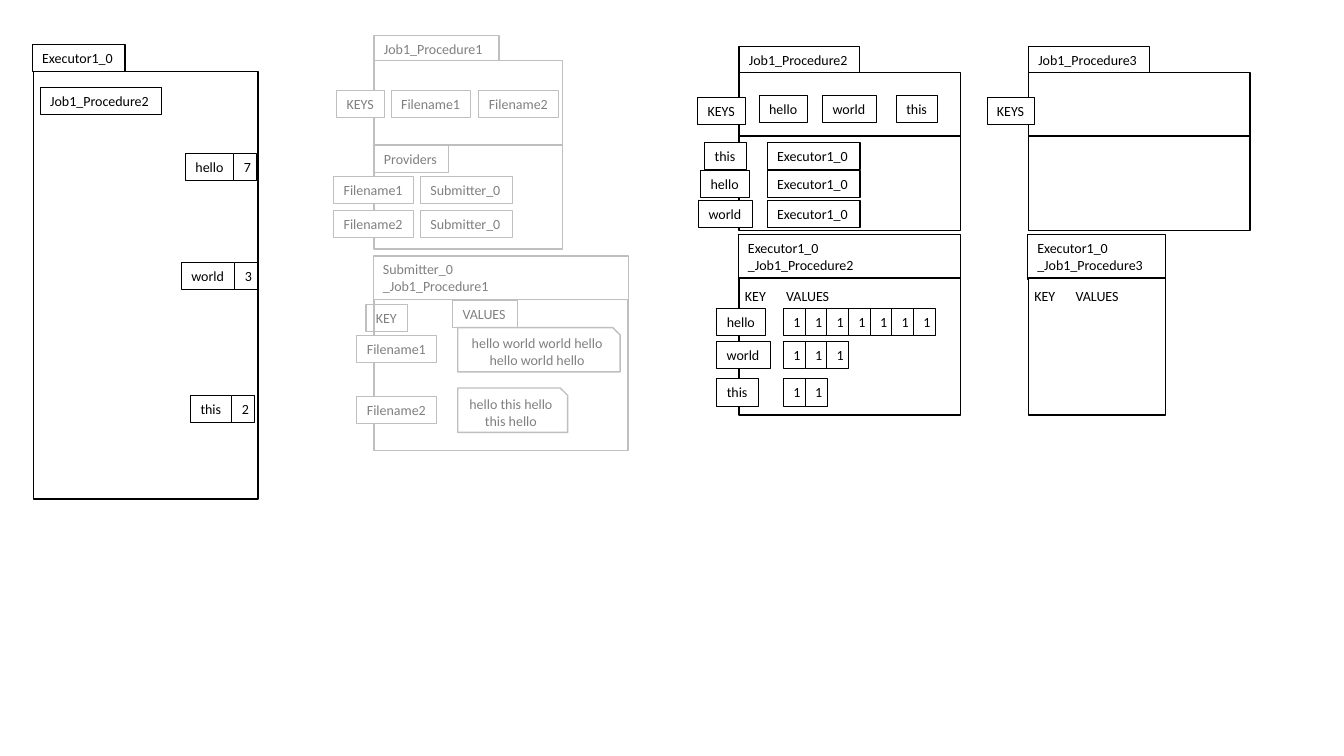
from pptx import Presentation
from pptx.dml.color import RGBColor
from pptx.enum.shapes import MSO_SHAPE
from pptx.enum.text import MSO_ANCHOR, MSO_AUTO_SIZE, PP_ALIGN
from pptx.util import Inches, Pt

RECTANGLE = MSO_SHAPE.RECTANGLE
SNIPPED = MSO_SHAPE.SNIP_1_RECTANGLE
TOP, MIDDLE = MSO_ANCHOR.TOP, MSO_ANCHOR.MIDDLE
LEFT, CENTER = PP_ALIGN.LEFT, PP_ALIGN.CENTER
GROW, FIXED = MSO_AUTO_SIZE.SHAPE_TO_FIT_TEXT, MSO_AUTO_SIZE.NONE

COLORS = {"white": "FFFFFF", "black": "000000", "line_gray": "BFBFBF", "text_gray": "808080"}
ACTIVE = ("black", "black")
FADED = ("line_gray", "text_gray")

LABEL_HEIGHT = 0.27
HEADER_HEIGHT = 0.44
COUNT_WIDTH = 0.22
COUNT_STEP = 0.215
WIDTHS = {
    "hello": 0.48, "world": 0.53, "this": 0.41, "KEY": 0.41, "KEYS": 0.47,
    "VALUES": 0.64, "Providers": 0.74, "Filename1": 0.79, "Filename2": 0.79,
    "Executor1_0": 0.92, "Submitter_0": 0.91, "Job1_Procedure1": 1.24,
    "Job1_Procedure2": 1.2, "Job1_Procedure3": 1.2,
}


def color(name):
    """Return the named palette colour."""
    return RGBColor.from_string(COLORS[name])


def write(box, text, ink, align=LEFT, anchor=TOP, wrap=True, size_mode=GROW):
    """Put formatted text into a box."""
    frame = box.text_frame
    frame.text = text
    frame.word_wrap = wrap
    frame.auto_size = size_mode
    frame.vertical_anchor = anchor
    for para in frame.paragraphs:
        para.alignment = align
        for span in para.runs:
            span.font.name = "Calibri"
            span.font.size = Pt(10)
            span.font.color.rgb = color(ink)


def add_box(page, left, top, width, height, line, weight=1, kind=RECTANGLE, filled=True):
    """Add an outlined box without a shadow."""
    box = page.shapes.add_shape(kind, Inches(left), Inches(top), Inches(width), Inches(height))
    box.shadow.inherit = False
    if filled:
        box.fill.solid()
        box.fill.fore_color.rgb = color("white")
    else:
        box.fill.background()
    box.line.color.rgb = color(line)
    box.line.width = Pt(weight)
    return box


def add_label(page, text, left, top, style=ACTIVE, filled=True):
    """Add a one-line label whose width follows from its word."""
    line, ink = style
    box = add_box(page, left, top, WIDTHS[text], LABEL_HEIGHT, line, 0.75, filled=filled)
    write(box, text, ink, wrap=False)


def add_header(page, text, left, top, width, style=ACTIVE):
    """Add the two-line header of a store."""
    line, ink = style
    write(add_box(page, left, top, width, HEADER_HEIGHT, line, 0.75), text, ink)


def add_count(page, number, left, top):
    """Add a narrow cell with a number."""
    box = add_box(page, left, top, COUNT_WIDTH, LABEL_HEIGHT, "black", 0.75)
    write(box, str(number), "black")


def add_caption(page, text, left, top):
    """Add a column caption without an outline."""
    box = page.shapes.add_textbox(
        Inches(left), Inches(top), Inches(WIDTHS[text]), Inches(LABEL_HEIGHT))
    write(box, text, "black", wrap=False)


def draw_executor(page, left, top, width, height):
    """Draw the executor with its word totals, right-aligned in the panel."""
    add_box(page, left, top + LABEL_HEIGHT, width, height - LABEL_HEIGHT, "black")
    add_label(page, "Executor1_0", left - 0.01, top)
    add_label(page, "Job1_Procedure2", left + 0.07, top + 0.43)
    for word, total, edge, drop in (("hello", 7, 2.21, 1.08), ("world", 3, 2.22, 2.16),
                                    ("this", 2, 2.19, 3.48)):
        cell = left + edge - COUNT_WIDTH
        add_count(page, total, cell, top + drop)
        add_label(page, word, cell - WIDTHS[word], top + drop)


def draw_submitter_job(page, left, top, width):
    """Draw the faded first job with its providers."""
    add_label(page, "Job1_Procedure1", left, top, FADED)
    add_box(page, left, top + 0.25, width, 0.84, "line_gray")
    add_box(page, left, top + 1.09, width, 1.03, "line_gray")
    for text, shift in (("KEYS", -0.37), ("Filename1", 0.17), ("Filename2", 1.04)):
        add_label(page, text, left + shift, top + 0.55, FADED)
    add_label(page, "Providers", left, top + 1.09, FADED, filled=False)
    for name, drop in (("Filename1", 1.4), ("Filename2", 1.74)):
        add_label(page, name, left - 0.4, top + drop, FADED)
        add_label(page, "Submitter_0", left + 0.46, top + drop, FADED)


def draw_submitter_store(page, left, top, width, height):
    """Draw the faded store of file contents."""
    line, ink = FADED
    add_header(page, "Submitter_0\n_Job1_Procedure1", left - 0.01, top, width + 0.01, FADED)
    add_box(page, left, top + 0.43, width, height - 0.43, line)
    add_label(page, "VALUES", left + 0.78, top + 0.44, FADED, filled=False)
    add_label(page, "KEY", left - 0.08, top + 0.48, FADED, filled=False)
    files = (("Filename1", "hello world world hello hello world hello", 1.61, 0.71),
             ("Filename2", "hello this hello this hello", 1.09, 1.31))
    for name, content, span_width, drop in files:
        add_label(page, name, left - 0.17, top + drop + 0.08, FADED)
        note = add_box(page, left + 0.83, top + drop, span_width, 0.44, line, kind=SNIPPED)
        write(note, content, ink, CENTER, MIDDLE, size_mode=FIXED)


def draw_job(page, name, left, top, width, store_width):
    """Draw a job's key and provider sections above its empty store."""
    add_label(page, name, left, top)
    add_box(page, left, top + 0.26, width, 0.63, "black")
    add_box(page, left, top + 0.89, width, 0.94, "black")
    add_header(page, f"Executor1_0\n_{name}", left - 0.01, top + 1.87, store_width + 0.01)
    add_box(page, left, top + 2.3, store_width, 1.36, "black")
    add_label(page, "KEYS", left - 0.41, top + 0.51)
    add_caption(page, "KEY", left - 0.04, top + 2.34)
    add_caption(page, "VALUES", left + 0.37, top + 2.34)


def fill_job(page, left, top):
    """Place the words, their providers and their values in a job."""
    for word, shift in (("hello", 0.2), ("world", 0.83), ("this", 1.56)):
        add_label(page, word, left + shift, top + 0.49)
    for word, shift, drop in (("this", -0.34, 0.95), ("hello", -0.38, 1.23),
                              ("world", -0.4, 1.53)):
        add_label(page, word, left + shift, top + drop)
        add_label(page, "Executor1_0", left + 0.28, top + drop)
    for word, count, drop in (("hello", 7, 2.6), ("world", 3, 2.93), ("this", 2, 3.3)):
        add_label(page, word, left - 0.22, top + drop)
        for index in range(count):
            add_count(page, 1, left + 0.44 + index * COUNT_STEP, top + drop)


def main():
    """Build the slide and save the deck."""
    deck = Presentation()
    deck.slide_width, deck.slide_height = Inches(13.33), Inches(7.5)
    page = deck.slides.add_slide(deck.slide_layouts[6])
    draw_executor(page, 0.33, 0.44, 2.23, 4.51)
    draw_submitter_job(page, 3.71, 0.35, 1.87)
    draw_submitter_store(page, 3.71, 2.54, 2.52, 1.93)
    draw_job(page, "Job1_Procedure2", 7.33, 0.46, 2.2, 2.2)
    fill_job(page, 7.33, 0.46)
    draw_job(page, "Job1_Procedure3", 10.2, 0.46, 2.2, 1.36)
    deck.save("out.pptx")


if __name__ == "__main__":
    main()
